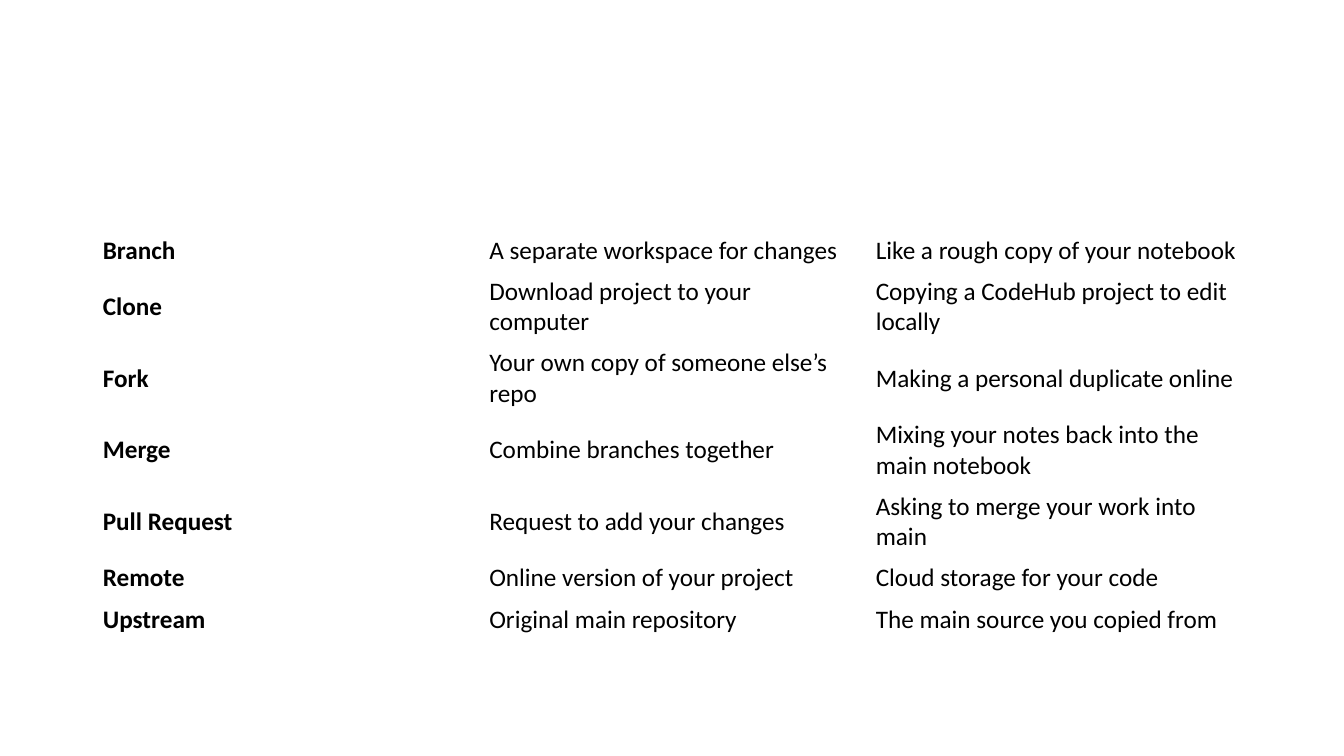
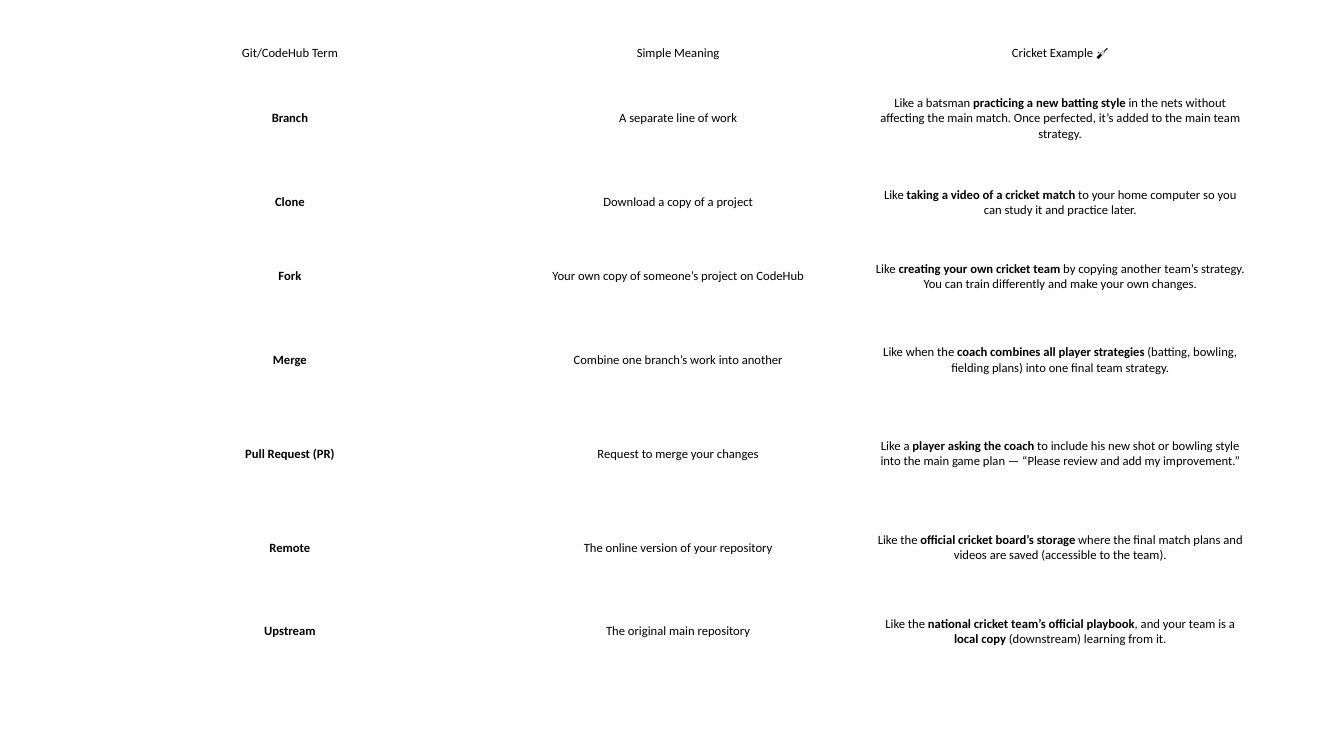
from pptx import Presentation
from pptx.dml.color import RGBColor
from pptx.enum.text import MSO_ANCHOR, PP_ALIGN
from pptx.util import Inches, Pt

BLACK = RGBColor(0x00, 0x00, 0x00)
FONT = "Calibri"
TABLE_LEFT = 0.92
BLANK_LAYOUT = 6

# Text between double asterisks is bold.
NOTEBOOK_ROWS = [
    ("", "", ""),
    ("**Branch**", "A separate workspace for changes", "Like a rough copy of your notebook"),
    ("**Clone**", "Download project to your computer", "Copying a CodeHub project to edit locally"),
    ("**Fork**", "Your own copy of someone else’s repo", "Making a personal duplicate online"),
    ("**Merge**", "Combine branches together", "Mixing your notes back into the main notebook"),
    ("**Pull Request**", "Request to add your changes", "Asking to merge your work into main"),
    ("**Remote**", "Online version of your project", "Cloud storage for your code"),
    ("**Upstream**", "Original main repository", "The main source you copied from"),
]
CRICKET_ROWS = [
    ("Git/CodeHub Term", "Simple Meaning", "Cricket Example 🏏"),
    ("**Branch**", "A separate line of work",
     "Like a batsman **practicing a new batting style** in the nets without affecting "
     "the main match. Once perfected, it’s added to the main team strategy."),
    ("**Clone**", "Download a copy of a project",
     "Like **taking a video of a cricket match** to your home computer so you can "
     "study it and practice later."),
    ("**Fork**", "Your own copy of someone’s project on CodeHub",
     "Like **creating your own cricket team** by copying another team’s strategy. "
     "You can train differently and make your own changes."),
    ("**Merge**", "Combine one branch’s work into another",
     "Like when the **coach combines all player strategies** (batting, bowling, "
     "fielding plans) into one final team strategy."),
    ("**Pull Request (PR)**", "Request to merge your changes",
     "Like a **player asking the coach** to include his new shot or bowling style "
     "into the main game plan — “Please review and add my improvement.”"),
    ("**Remote**", "The online version of your repository",
     "Like the **official cricket board’s storage** where the final match plans and "
     "videos are saved (accessible to the team)."),
    ("**Upstream**", "The original main repository",
     "Like the **national cricket team’s official playbook**, and your team is a "
     "**local copy** (downstream) learning from it."),
]


def fill_cell(cell, text, size, align, margins):
    """Write text with **bold** parts into a transparent, vertically centred cell."""
    cell.fill.background()
    cell.vertical_anchor = MSO_ANCHOR.MIDDLE
    side, edge = margins
    cell.margin_left = cell.margin_right = Inches(side)
    cell.margin_top = cell.margin_bottom = Inches(edge)
    para = cell.text_frame.paragraphs[0]
    para.alignment = align
    para.font.size = Pt(size)
    for index, part in enumerate(text.split("**")):
        if part:
            span = para.add_run()
            span.text = part
            span.font.name = FONT
            span.font.size = Pt(size)
            span.font.color.rgb = BLACK
            span.font.bold = index % 2 == 1


def add_term_table(deck, rows, top, widths, heights, size, align, margins):
    page = deck.slides.add_slide(deck.slide_layouts[BLANK_LAYOUT])
    table = page.shapes.add_table(
        len(rows), len(widths), Inches(TABLE_LEFT), Inches(top),
        Inches(sum(widths)), Inches(sum(heights))).table
    table.first_row = table.horz_banding = False
    for column, width in zip(table.columns, widths):
        column.width = Inches(width)
    for row, height, texts in zip(table.rows, heights, rows):
        row.height = Inches(height)
        for cell, text in zip(row.cells, texts):
            fill_cell(cell, text, size, align, margins)


deck = Presentation()
deck.slide_width = Inches(13.33)
deck.slide_height = Inches(7.5)

ONE_LINE, TWO_LINES = 0.41, 0.71
add_term_table(deck, NOTEBOOK_ROWS, 1.87, [11.5 / 3] * 3,
               [ONE_LINE] * 2 + [TWO_LINES] * 4 + [ONE_LINE] * 2,
               18, PP_ALIGN.LEFT, (0.1, 0.05))
add_term_table(deck, CRICKET_ROWS, 0.4, [3.91, 3.79, 3.79],
               [0.26, 1.03, 0.64, 0.83, 0.83, 1.03, 0.83, 0.83],
               9, PP_ALIGN.CENTER, (0.05, 0.02))

deck.save("out.pptx")
